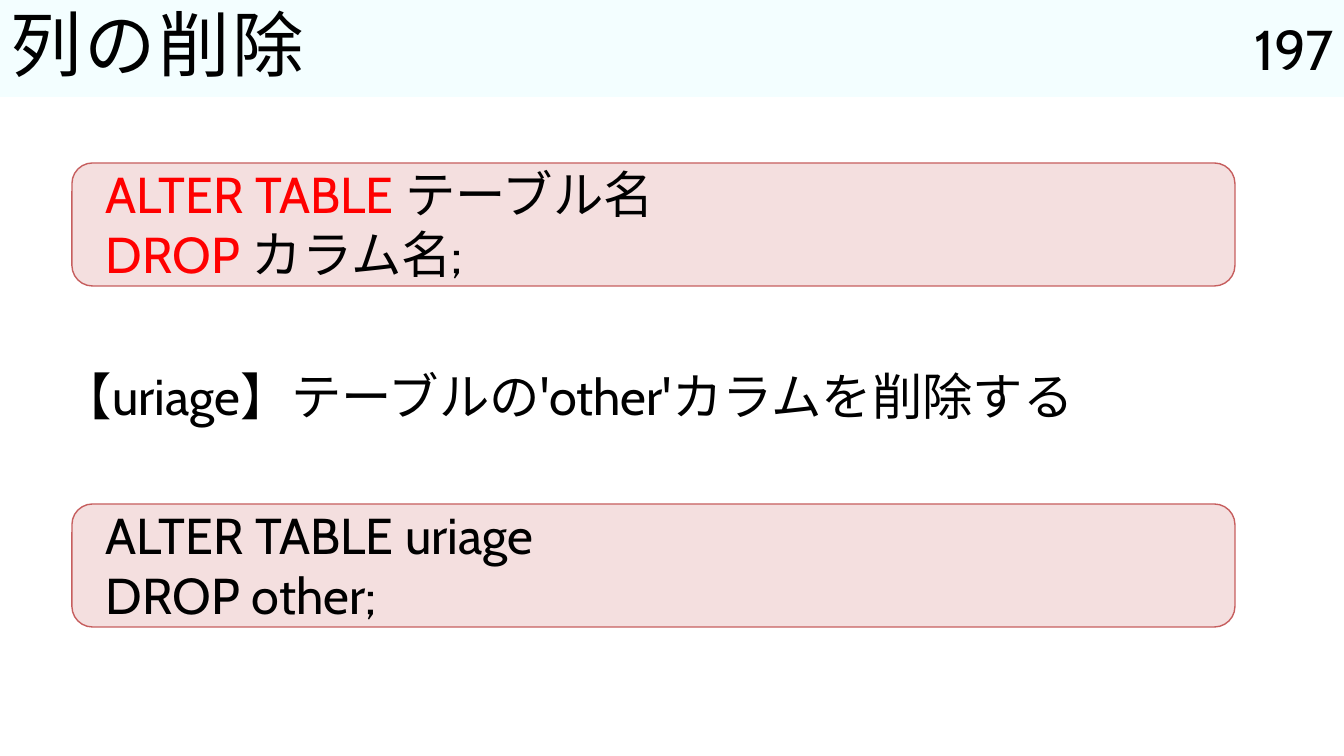
from pptx import Presentation
from pptx.dml.color import RGBColor
from pptx.enum.shapes import MSO_SHAPE as Shape
from pptx.enum.text import MSO_ANCHOR as Anchor, MSO_AUTO_SIZE as AutoSize, PP_ALIGN as Align
from pptx.util import Emu, Pt

PX = 914400 / 100.8
WIDTH, HEIGHT = 1344, 756
HEADER_HEIGHT = 97
FONT = "Cabin"
BLACK, RED = "000000", "FF0000"
HEADER_FILL, CODE_FILL, CODE_LINE = "F3FEFF", "F4DFDF", "C65E5E"


def px(length):
    return Emu(round(length * PX))


def box(*lengths):
    return [px(length) for length in lengths]


def color(hex_string):
    return RGBColor.from_string(hex_string)


def format_run(run, size, hex_string=BLACK):
    run.font.name = FONT
    run.font.size = Pt(size)
    run.font.color.rgb = color(hex_string)


def add_title(slide, text):
    title = slide.shapes.title
    title.left, title.top, title.width, title.height = box(0, 0, WIDTH, HEADER_HEIGHT)
    title.fill.solid()
    title.fill.fore_color.rgb = color(HEADER_FILL)
    frame = title.text_frame
    frame.text = text
    frame.auto_size = AutoSize.NONE
    frame.vertical_anchor = Anchor.MIDDLE
    paragraph = frame.paragraphs[0]
    paragraph.alignment = Align.LEFT
    paragraph.line_spacing = 0.9
    run = paragraph.runs[0]
    format_run(run, 51)
    run.font._element.set("spc", "200")


def add_text(shapes, bounds, lines, size=36):
    """Add a text box; each line is a list of (text, colour) runs."""
    frame = shapes.add_textbox(*box(*bounds)).text_frame
    frame.word_wrap = True
    for index, line in enumerate(lines):
        paragraph = frame.add_paragraph() if index else frame.paragraphs[0]
        for text, hex_string in line:
            run = paragraph.add_run()
            run.text = text
            format_run(run, size, hex_string)
    return frame


def add_code_panel(slide, top, lines):
    shapes = slide.shapes.add_group_shape().shapes
    panel = shapes.add_shape(Shape.ROUNDED_RECTANGLE, *box(72, top, 1163, 123))
    panel.shadow.inherit = False
    panel.fill.solid()
    panel.fill.fore_color.rgb = color(CODE_FILL)
    panel.line.color.rgb = color(CODE_LINE)
    panel.line.width = Pt(1)
    frame = add_text(shapes, (96, top - 5, 1139, 132), lines)
    frame.auto_size = AutoSize.SHAPE_TO_FIT_TEXT


def main():
    presentation = Presentation()
    presentation.slide_width, presentation.slide_height = box(WIDTH, HEIGHT)
    slide = presentation.slides.add_slide(presentation.slide_layouts[5])

    add_title(slide, "列の削除")
    number = add_text(slide.shapes, (1193, 0, 151, HEADER_HEIGHT), [[("197", BLACK)]], 40)
    number.vertical_anchor = Anchor.MIDDLE
    number.paragraphs[0].alignment = Align.RIGHT

    add_code_panel(slide, 163, [
        [("ALTER TABLE ", RED), ("テーブル名", BLACK)],
        [("DROP ", RED), ("カラム名;", BLACK)],
    ])
    task = add_text(slide.shapes, (52, 354, 1203, 152),
                    [[("【uriage】テーブルの'other'カラムを削除する", BLACK)]])
    task.paragraphs[0].line_spacing = 1.1
    add_code_panel(slide, 504, [
        [("ALTER TABLE uriage", BLACK)],
        [("DROP other;", BLACK)],
    ])
    presentation.save("out.pptx")


if __name__ == "__main__":
    main()
